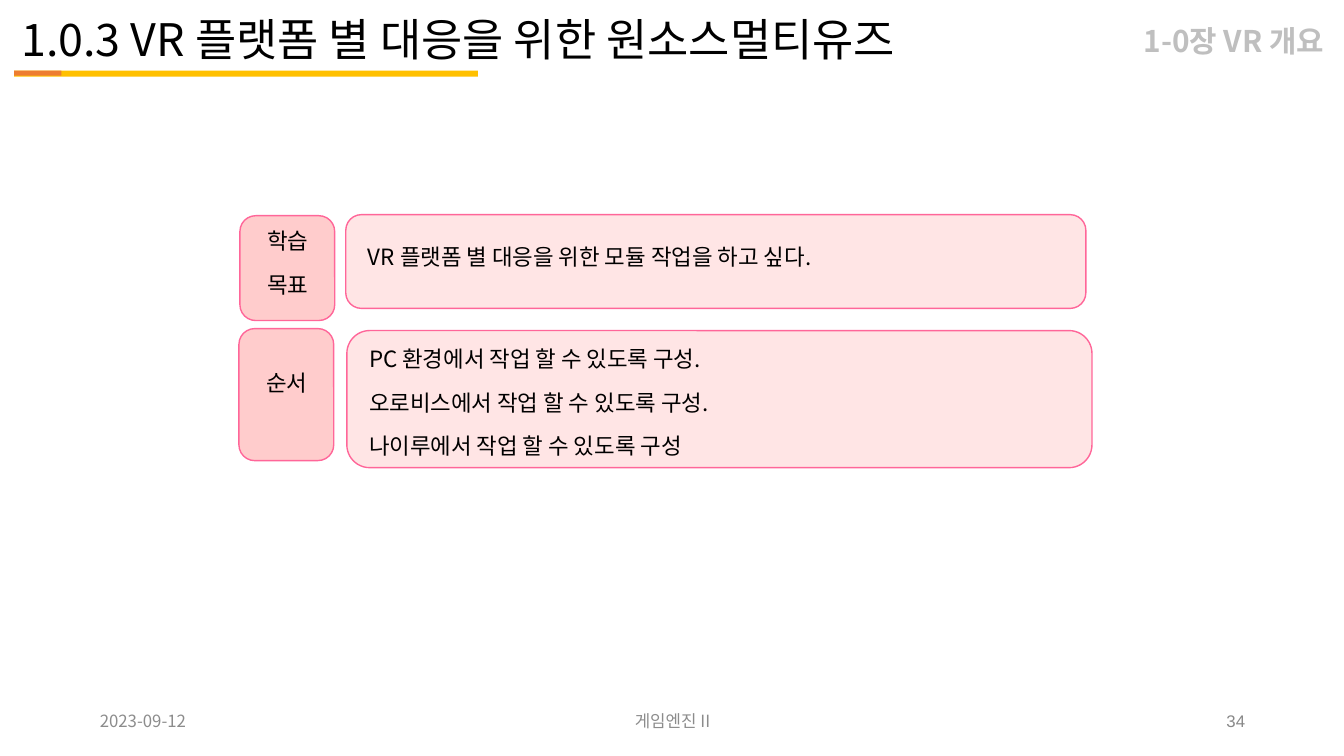
from lxml.etree import SubElement
from pptx import Presentation
from pptx.dml.color import RGBColor
from pptx.enum.shapes import MSO_SHAPE
from pptx.enum.text import MSO_ANCHOR, MSO_AUTO_SIZE, PP_ALIGN
from pptx.oxml.ns import qn
from pptx.util import Inches, Pt

KOREAN = "Noto Sans CJK KR"
BLACK = RGBColor(0x00, 0x00, 0x00)
SILVER = RGBColor(0xBF, 0xBF, 0xBF)
GRAY = RGBColor(0x8C, 0x8C, 0x8C)
NUMBER_GRAY = RGBColor(0x88, 0x88, 0x88)
GOLD = RGBColor(0xFF, 0xC0, 0x00)
ORANGE = RGBColor(0xED, 0x7D, 0x31)
PINK = RGBColor(0xFF, 0xCC, 0xCC)
ROSE = RGBColor(0xFF, 0x66, 0x99)

LEFT, CENTER, RIGHT = PP_ALIGN.LEFT, PP_ALIGN.CENTER, PP_ALIGN.RIGHT
TITLE = "1.0.3 VR 플랫폼 별 대응을 위한 원소스멀티유즈"
CHAPTER = "1-0장 VR 개요"

UNDERLINE = [
    ((0.14, 0.7, 4.6, 0.06), GOLD),
    ((0.14, 0.7, 0.47, 0.05), ORANGE),
]

# Panel place, opacity in percent, text place, alignment, lines
PANELS = [
    ((2.38, 2.14, 0.94, 1.04), 100, (2.49, 2.06, 0.73, 1.07), CENTER,
     ["학습", "목표"]),
    ((3.43, 2.13, 7.34, 0.93), 50, (3.52, 2.06, 7.16, 0.96), LEFT,
     ["VR 플랫폼 별 대응을 위한 모듈 작업을 하고 싶다."]),
    ((2.37, 3.26, 0.94, 1.31), 100, (2.48, 3.41, 0.73, 0.76), CENTER,
     ["순서"]),
    ((3.44, 3.28, 7.39, 1.36), 50, (3.53, 3.24, 7.01, 1.48), LEFT,
     ["PC 환경에서 작업 할 수 있도록 구성.",
      "오로비스에서 작업 할 수 있도록 구성.",
      "나이루에서 작업 할 수 있도록 구성"]),
]

FOOTER = [
    ("2023-09-12", 0.92, 3, LEFT, KOREAN, GRAY),
    ("게임엔진 II", 4.42, 4.5, CENTER, KOREAN, GRAY),
    ("34", 9.42, 3, RIGHT, "Arial", NUMBER_GRAY),
]


def place(shape, at):
    for side, length in zip(("left", "top", "width", "height"), at):
        setattr(shape, side, Inches(length))


def write(box, lines, size, color, align=LEFT, font=KOREAN, bold=False,
          insets=(0.07, 0.04), anchor=MSO_ANCHOR.MIDDLE, spacing=1.0, after=0):
    frame = box.text_frame
    across, down = map(Inches, insets)
    frame_format = {
        "word_wrap": True, "auto_size": MSO_AUTO_SIZE.NONE,
        "vertical_anchor": anchor,
        "margin_left": across, "margin_right": across,
        "margin_top": down, "margin_bottom": down,
    }
    for name, value in frame_format.items():
        setattr(frame, name, value)
    para_format = {"alignment": align, "line_spacing": spacing,
                   "space_before": Pt(0), "space_after": Pt(after)}
    font_format = {"name": font, "size": Pt(size), "bold": bold}
    for index, line in enumerate(lines):
        para = frame.add_paragraph() if index else frame.paragraphs[0]
        for name, value in para_format.items():
            setattr(para, name, value)
        span = para.add_run()
        span.text = line
        for name, value in font_format.items():
            setattr(span.font, name, value)
        span.font.color.rgb = color
        SubElement(span.font._element, qn("a:ea"), typeface=font)


def add_text(page, at, lines, size, color, **options):
    box = page.shapes.add_textbox(*map(Inches, at))
    write(box, lines, size, color, **options)


def add_block(page, kind, at, fill, outline=None, opacity=100):
    block = page.shapes.add_shape(kind, *map(Inches, at))
    block.shadow.inherit = False
    block.fill.solid()
    block.fill.fore_color.rgb = fill
    if opacity < 100:
        color = block._element.spPr.find(qn("a:solidFill"))[0]
        SubElement(color, qn("a:alpha"), val=str(opacity * 1000))
    if outline is None:
        block.line.fill.background()
    else:
        block.line.color.rgb = outline
        block.line.width = Pt(1)


def main():
    deck = Presentation()
    deck.slide_width, deck.slide_height = Inches(13.33), Inches(7.5)
    page = deck.slides.add_slide(deck.slide_layouts[1])

    title, chapter = page.placeholders
    place(title, (0.14, 0, 10.14, 0.7))
    write(title, [TITLE], 32, BLACK, anchor=MSO_ANCHOR.BOTTOM, spacing=0.9)

    place(chapter, (9.64, 0.16, 3.59, 0.54))
    properties = chapter.text_frame.paragraphs[0]._p.get_or_add_pPr()
    properties.set("marL", "0")
    properties.set("indent", "0")
    SubElement(properties, qn("a:buNone"))
    write(chapter, [CHAPTER], 21.3, SILVER, align=RIGHT, bold=True,
          insets=(0.1, 0.05), spacing=0.9)

    for at, color in UNDERLINE:
        add_block(page, MSO_SHAPE.RECTANGLE, at, color)

    for at, opacity, text_at, align, lines in PANELS:
        add_block(page, MSO_SHAPE.ROUNDED_RECTANGLE, at, PINK, ROSE, opacity)
        add_text(page, text_at, lines, 16, BLACK, align=align,
                 insets=(0.13, 0.07), spacing=1.07, after=10.7)

    for text, left, width, align, font, color in FOOTER:
        add_text(page, (left, 6.95, width, 0.4), [text], 12, color,
                 align=align, font=font)

    deck.save("out.pptx")


if __name__ == "__main__":
    main()
